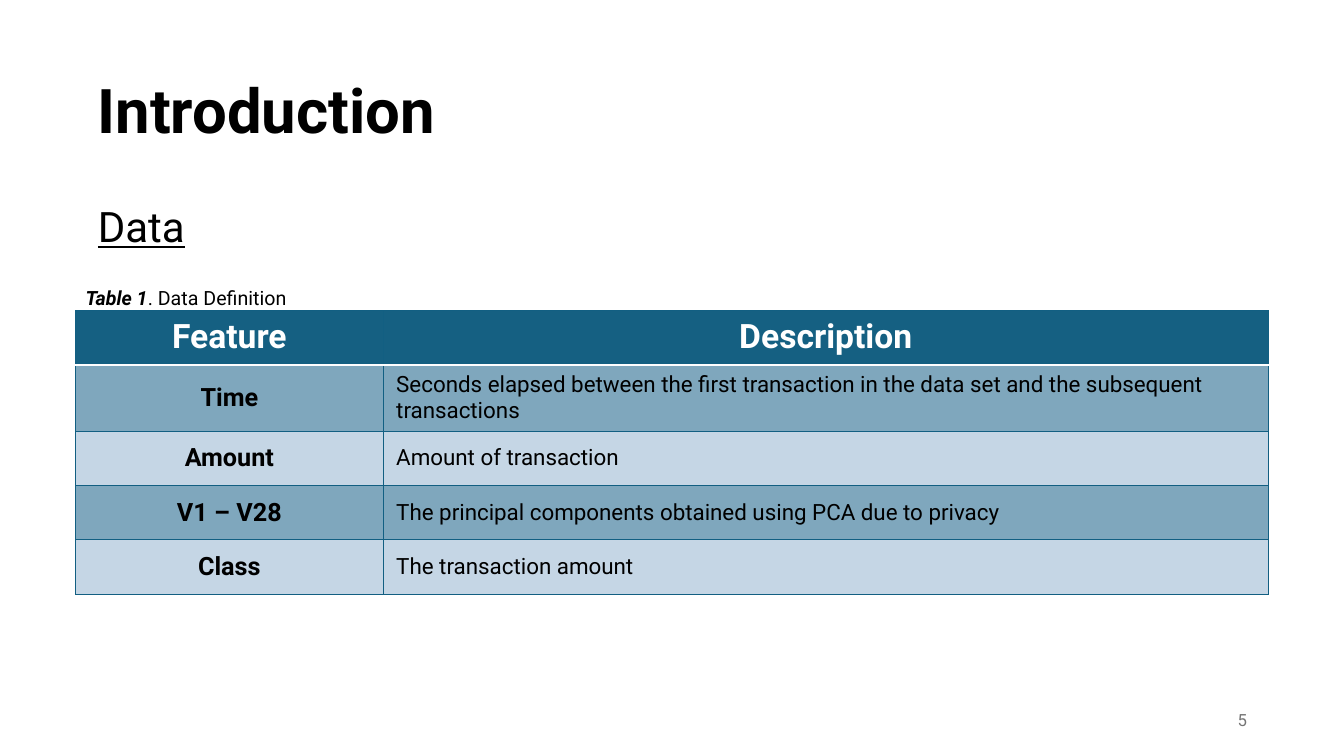
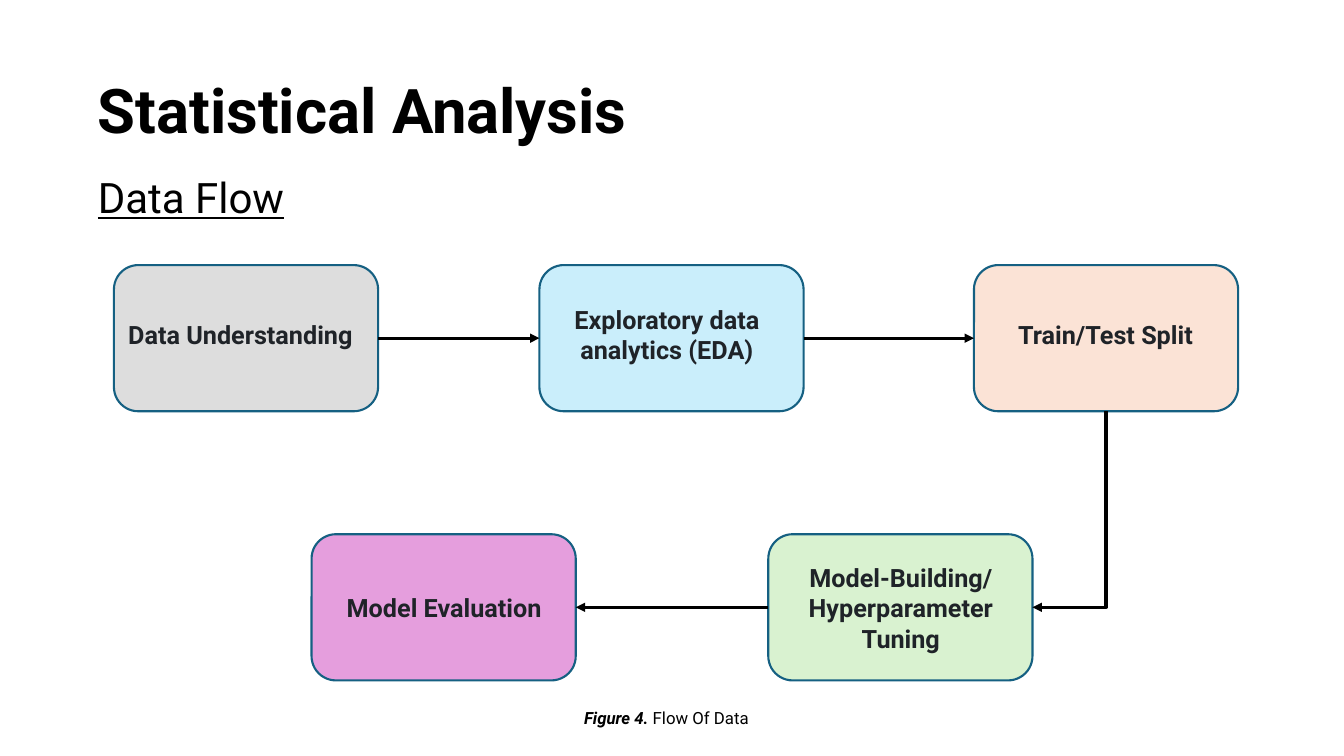
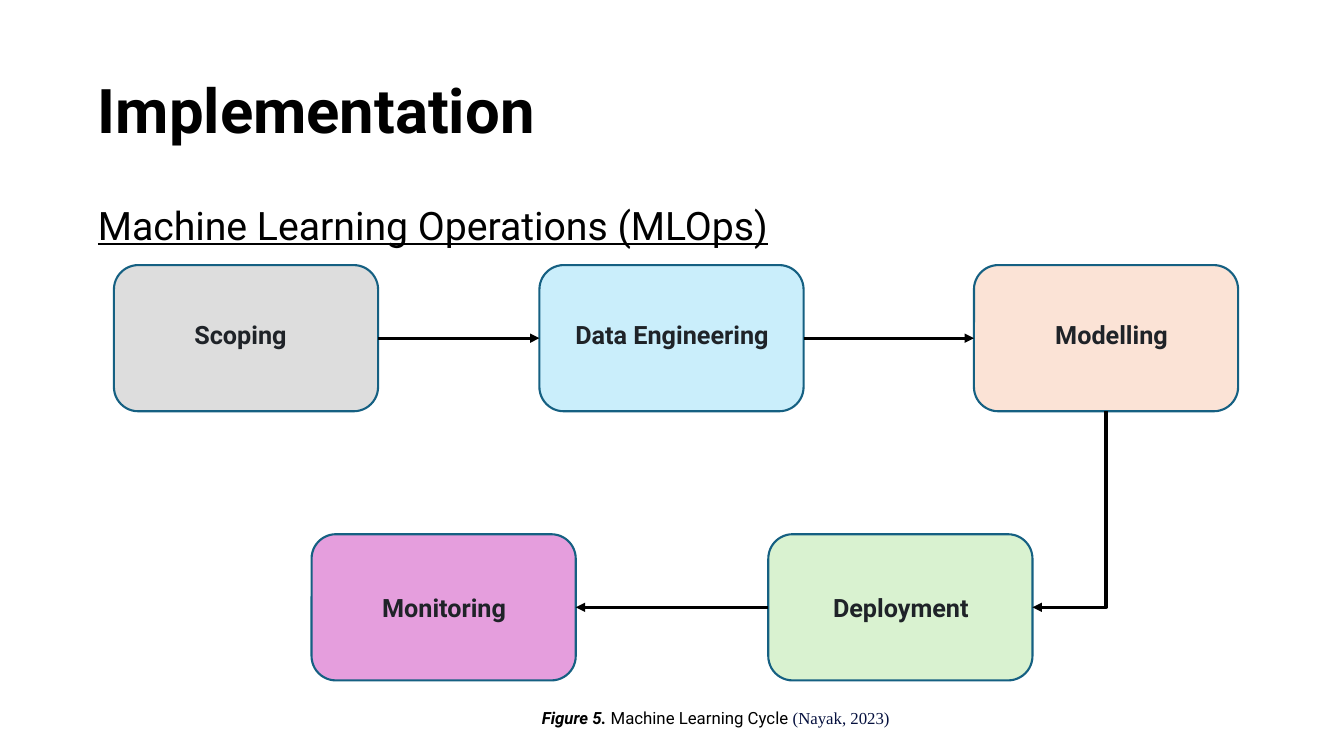
from lxml import etree
from pptx import Presentation
from pptx.dml.color import RGBColor
from pptx.enum.shapes import MSO_CONNECTOR, MSO_SHAPE
from pptx.enum.text import MSO_ANCHOR, MSO_AUTO_SIZE, PP_ALIGN
from pptx.oxml.ns import qn
from pptx.util import Emu, Pt

LEFT, CENTER, RIGHT = PP_ALIGN.LEFT, PP_ALIGN.CENTER, PP_ALIGN.RIGHT
TOP, MIDDLE = MSO_ANCHOR.TOP, MSO_ANCHOR.MIDDLE
NO_FIT = MSO_AUTO_SIZE.NONE
STRAIGHT, ELBOW = MSO_CONNECTOR.STRAIGHT, MSO_CONNECTOR.ELBOW
ROUNDED = MSO_SHAPE.ROUNDED_RECTANGLE
SIDE_LEFT, SIDE_BOTTOM, SIDE_RIGHT = 1, 2, 3

BLACK = RGBColor(0x00, 0x00, 0x00)
WHITE = RGBColor(0xFF, 0xFF, 0xFF)
GRAY = RGBColor(0x75, 0x75, 0x75)
INK = RGBColor(0x1F, 0x23, 0x28)
NAVY = RGBColor(0x05, 0x10, 0x3E)
TEAL = RGBColor(0x15, 0x60, 0x82)
GRID = RGBColor(0x12, 0x5F, 0x82)
BAND_DARK = RGBColor(0x7F, 0xA7, 0xBD)
BAND_LIGHT = RGBColor(0xC5, 0xD6, 0xE5)
SILVER = RGBColor(0xDD, 0xDD, 0xDD)
SKY = RGBColor(0xCA, 0xEE, 0xFB)
PEACH = RGBColor(0xFB, 0xE3, 0xD6)
MINT = RGBColor(0xD9, 0xF2, 0xD0)
ORCHID = RGBColor(0xE5, 0x9E, 0xDD)

FONT = "Roboto"
STEP_W, STEP_H = 262, 145
# left, top, fill and text middle of each step in a flow
STEPS = [
    (113, 263, SILVER, 332),
    (535, 263, SKY, 332),
    (966, 263, PEACH, 332),
    (762, 530, MINT, 603),
    (309, 530, ORCHID, 603),
]


def px(length):
    """100 px make one inch."""
    return Emu(round(length * 9144))


class Deck:
    def __init__(self):
        self.prs = Presentation()
        self.prs.slide_width, self.prs.slide_height = px(1333), px(750)
        self.slide = None

    def add_slide(self, title, heading, heading_area, heading_size=30):
        self.slide = self.prs.slides.add_slide(self.prs.slide_layouts[1])
        title_box, body = self.slide.placeholders
        self.place(title_box, (92, 40, 1150, 145), MIDDLE)
        self.put_runs(title_box.text_frame, [(title, {"size": Pt(44), "bold": True})],
                      line_spacing=0.9)
        self.place(body, heading_area, TOP)
        self.put_runs(body.text_frame,
                      [(heading, {"size": Pt(heading_size), "underline": True})],
                      line_spacing=0.9, space_before=Pt(10))
        props = body.text_frame.paragraphs[0]._p.get_or_add_pPr()
        props.set("marL", "0")
        props.set("indent", "0")
        etree.SubElement(props, qn("a:buNone"))

    def place(self, box, area, anchor, inset=5):
        box.left, box.top, box.width, box.height = map(px, area)
        frame = box.text_frame
        frame.auto_size, frame.word_wrap = NO_FIT, True
        frame.vertical_anchor = anchor
        for side in ("left", "top", "right", "bottom"):
            setattr(frame, f"margin_{side}", px(inset))

    def put_runs(self, frame, runs, align=LEFT, **spacing):
        paragraph = frame.paragraphs[0]
        for name, value in {"alignment": align, **spacing}.items():
            setattr(paragraph, name, value)
        for text, look in runs:
            run = paragraph.add_run()
            run.text = text
            values = {"name": FONT, "bold": False, "color": BLACK, **look}
            run.font.color.rgb = values.pop("color")
            for name, value in values.items():
                setattr(run.font, name, value)

    def text(self, area, runs, align=CENTER, anchor=TOP, inset=5):
        box = self.slide.shapes.add_textbox(0, 0, 0, 0)
        self.place(box, area, anchor, inset)
        self.put_runs(box.text_frame, runs, align)
        return box

    def caption(self, area, number, rest, size=12, align=CENTER, inset=5):
        runs = [(number, {"bold": True, "italic": True}), *rest]
        self.text(area, [(text, {"size": Pt(size), **look}) for text, look in runs],
                  align, inset=inset)

    # Tables
    def border(self, cell, tag, color, points):
        line = etree.SubElement(cell._tc.get_or_add_tcPr(), qn(f"a:{tag}"),
                                w=str(Pt(points)))
        fill = etree.SubElement(line, qn("a:solidFill"))
        etree.SubElement(fill, qn("a:srgbClr"), val=str(color))

    def cell(self, cell, text, fill, look, align, anchor, edges):
        for tag, (color, points) in edges.items():
            self.border(cell, tag, color, points)
        cell.fill.solid()
        cell.fill.fore_color.rgb = fill
        cell.vertical_anchor = anchor
        cell.margin_left = cell.margin_right = px(13)
        cell.margin_top = cell.margin_bottom = px(7)
        self.put_runs(cell.text_frame, [(text, look)], align)

    def table(self, left, top, widths, heights, rows):
        table = self.slide.shapes.add_table(
            len(rows), len(widths), px(left), px(top),
            px(sum(widths)), px(sum(heights))).table
        table.horz_banding = False
        for column, width in zip(table.columns, widths):
            column.width = px(width)
        for row, height in zip(table.rows, heights):
            row.height = px(height)
        for r, row in enumerate(rows):
            edges = dict.fromkeys(("lnL", "lnR", "lnT", "lnB"), (GRID, 0.75))
            if r < 2:
                edges["lnT" if r else "lnB"] = (WHITE, 2)
            for c, text in enumerate(row):
                if r == 0:
                    look = {"size": Pt(24), "bold": True, "color": WHITE}
                    fill, anchor = TEAL, TOP
                else:
                    look = {"size": Pt(16 if c else 18), "bold": c == 0}
                    fill, anchor = (BAND_DARK if r % 2 else BAND_LIGHT), MIDDLE
                align = LEFT if r and c else CENTER
                self.cell(table.cell(r, c), text, fill, look, align, anchor, edges)

    # Flows
    def step(self, left, top, fill):
        box = self.slide.shapes.add_shape(ROUNDED, px(left), px(top), px(STEP_W), px(STEP_H))
        box.shadow.inherit = False
        box.fill.solid()
        box.fill.fore_color.rgb = fill
        box.line.color.rgb, box.line.width = TEAL, Pt(1.5)
        return box

    def arrow(self, start, start_side, end, end_side, kind=STRAIGHT):
        arrow = self.slide.shapes.add_connector(kind, 0, 0, 0, 0)
        arrow.begin_connect(start, start_side)
        arrow.end_connect(end, end_side)
        arrow.line.color.rgb, arrow.line.width = BLACK, Pt(2.25)
        outline = arrow._element.spPr.find(qn("a:ln"))
        etree.SubElement(outline, qn("a:tailEnd"), type="triangle")
        etree.SubElement(arrow._element.spPr, qn("a:effectLst"))
        return arrow

    def corner_arrow(self, start, end):
        """One bend: down from the start, then left into the end."""
        arrow = self.arrow(start, SIDE_BOTTOM, end, SIDE_RIGHT, ELBOW)
        x1, y1, x2, y2 = arrow.begin_x, arrow.begin_y, arrow.end_x, arrow.end_y
        across, down = x1 - x2, y2 - y1
        xfrm = arrow._element.spPr.find(qn("a:xfrm"))
        for flip in ("flipH", "flipV"):
            xfrm.attrib.pop(flip, None)
        xfrm.set("rot", str(90 * 60000))
        arrow._element.spPr.find(qn("a:prstGeom")).set("prst", "bentConnector2")
        arrow.left, arrow.top = Emu((x1 + x2 - down) // 2), Emu((y1 + y2 - across) // 2)
        arrow.width, arrow.height = Emu(down), Emu(across)

    def flow(self, labels):
        """labels: text, left edge and number of lines of each step."""
        first, second, third, fourth, fifth = [
            self.step(left, top, fill) for left, top, fill, _ in STEPS]
        self.arrow(first, SIDE_RIGHT, second, SIDE_LEFT)
        self.arrow(second, SIDE_RIGHT, third, SIDE_LEFT)
        self.corner_arrow(third, fourth)
        self.arrow(fourth, SIDE_LEFT, fifth, SIDE_RIGHT)
        look = {"size": Pt(18), "bold": True, "color": INK}
        for (text, left, lines), (_, _, _, middle) in zip(labels, STEPS):
            height = 10 + 30 * lines
            self.text((left, middle - height / 2, 237, height), [(text, look)])


def main():
    deck = Deck()

    # Data definition
    deck.add_slide("Introduction", "Data", (92, 200, 1150, 476))
    deck.table(75, 308, (305, 878), (54, 65, 54, 54, 54), [
        ("Feature", "Description"),
        ("Time", "Seconds elapsed between the first transaction in the data set "
                 "and the subsequent transactions"),
        ("Amount", "Amount of transaction"),
        ("V1 – V28", "The principal components obtained using PCA due to privacy"),
        ("Class", "The transaction amount"),
    ])
    deck.caption((75, 274, 666, 34), "Table 1", [(". Data Definition", {})],
                 size=14, align=LEFT, inset=10)
    page = deck.text((1221, 700, 21, 29), [("5", {"size": Pt(12), "color": GRAY})],
                     RIGHT, MIDDLE)
    page.text_frame.word_wrap = False

    # Data flow
    deck.add_slide("Statistical Analysis", "Data Flow", (92, 171, 585, 55))
    deck.flow([
        ("Data Understanding", 120, 1),
        ("Exploratory data analytics (EDA)", 543, 2),
        ("Train/Test Split", 978, 1),
        ("Model-Building/Hyperparameter Tuning", 775, 3),
        ("Model Evaluation", 322, 1),
    ])
    deck.caption((555, 697, 212, 30), "Figure 4. ", [("Flow Of Data", {})])

    # Machine learning cycle
    deck.add_slide("Implementation", "Machine Learning Operations (MLOps)",
                   (92, 200, 1150, 476), heading_size=28)
    deck.flow([
        ("Scoping", 120, 1),
        ("Data Engineering", 548, 1),
        ("Modelling", 984, 1),
        ("Deployment", 775, 1),
        ("Monitoring", 322, 1),
    ])
    deck.caption((527, 697, 366, 30), "Figure 5. ", [
        ("Machine Learning Cycle ", {}),
        ("(Nayak, 2023)", {"name": "Times New Roman", "color": NAVY}),
    ])

    deck.prs.save("out.pptx")


if __name__ == "__main__":
    main()
